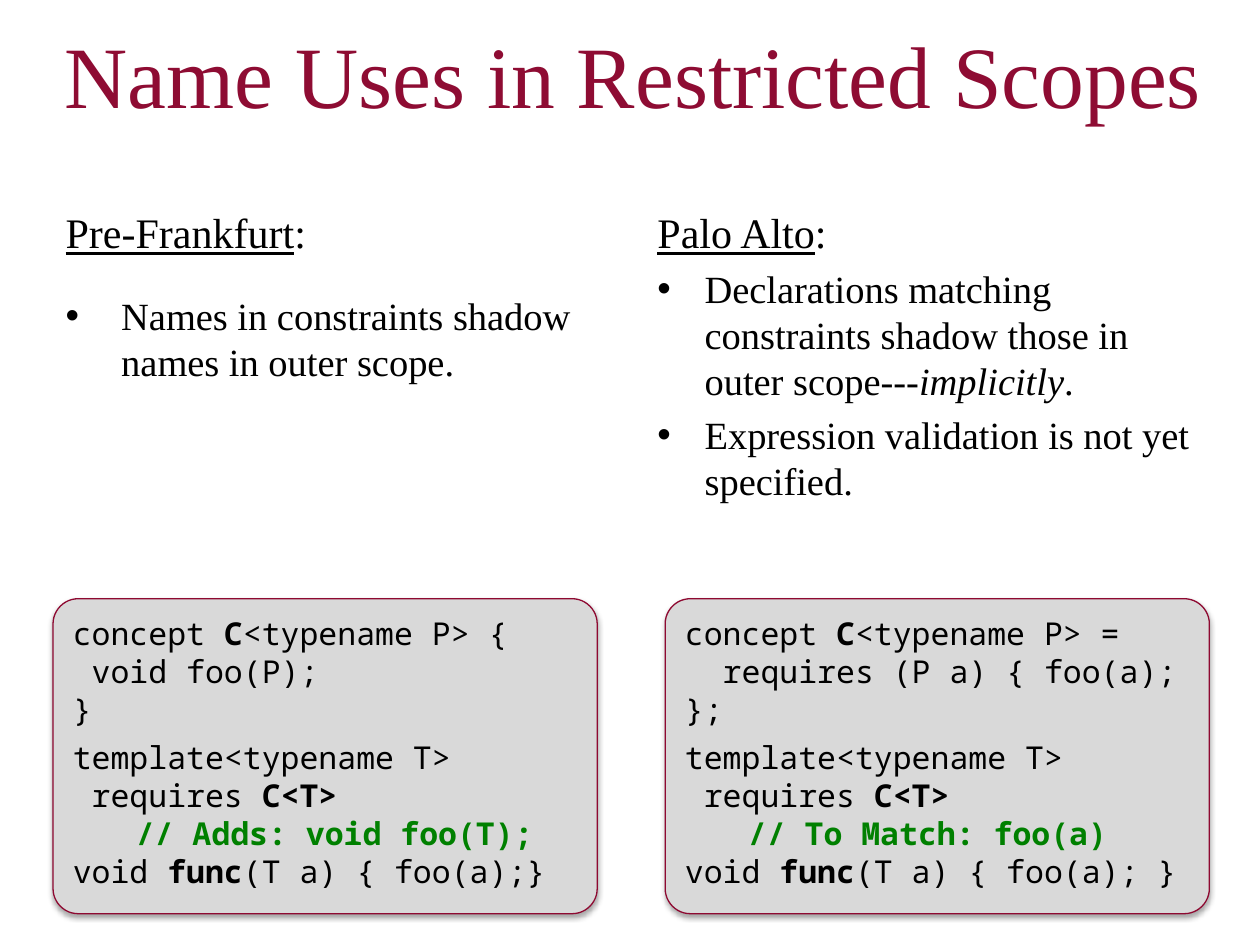
from dataclasses import dataclass

import lxml.etree
import pptx
import pptx.dml.color
import pptx.enum.shapes
import pptx.enum.text
import pptx.oxml
import pptx.oxml.ns
import pptx.util

Cm, Pt = pptx.util.Cm, pptx.util.Pt
RGB = pptx.dml.color.RGBColor.from_string
qn = pptx.oxml.ns.qn


@dataclass(frozen=True)
class Theme:
    title: str = "8E0C33"
    text: str = "000000"
    comment: str = "008000"
    panel: str = "D9D9D9"
    border: str = "8E0931"
    serif: str = "Times New Roman"
    mono: str = "Noto Sans Mono"
    title_size: int = 50
    heading_size: int = 24
    list_size: int = 22
    code_size: int = 18
    leading: float = 1.2


theme = Theme()


def add_run(p, text, size, color=theme.text, font=theme.serif,
            bold=False, italic=False, underline=False):
    r = p.add_run()
    r.text = text
    r.font.size, r.font.name = Pt(size), font
    r.font.color.rgb = RGB(color)
    r.font.bold, r.font.italic, r.font.underline = bold, italic, underline


def next_paragraph(tf, size, before=0, hang=0, bullet=None, tab=None):
    """Return the first paragraph while it is empty, otherwise a new one."""
    p = tf.paragraphs[0] if not tf.paragraphs[0].runs else tf.add_paragraph()
    p.alignment = pptx.enum.text.PP_ALIGN.LEFT
    p.line_spacing = Pt(size * theme.leading)
    p.space_before, p.space_after = Pt(before), Pt(0)
    pPr = p._p.get_or_add_pPr()
    pPr.set("marL", str(Cm(hang)))
    pPr.set("indent", str(-Cm(hang)))
    if bullet:
        lxml.etree.SubElement(pPr, qn("a:buChar"), char=bullet)
    else:
        lxml.etree.SubElement(pPr, qn("a:buNone"))
    if tab:
        tabs = lxml.etree.SubElement(pPr, qn("a:tabLst"))
        lxml.etree.SubElement(tabs, qn("a:tab"), pos=str(Cm(tab)), algn="l")
    return p


prs = pptx.Presentation()
prs.slide_width, prs.slide_height = Cm(25.4), Cm(19.05)
s = prs.slides.add_slide(prs.slide_layouts[3])
title, left_body, right_body = s.placeholders

frames = [
    (title, 0.66, 0.3, 24.23, 3.73),
    (left_body, 1.07, 4.04, 11.91, 14.38),
    (right_body, 13, 4.04, 11.4, 14.38),
]
for sp, left, top, width, height in frames:
    sp.left, sp.top, sp.width, sp.height = Cm(left), Cm(top), Cm(width), Cm(height)
    sp.text_frame.word_wrap = True
    sp.text_frame.auto_size = pptx.enum.text.MSO_AUTO_SIZE.NONE
    sp.text_frame.vertical_anchor = pptx.enum.text.MSO_ANCHOR.TOP

p = next_paragraph(title.text_frame, theme.title_size)
p.alignment = pptx.enum.text.PP_ALIGN.CENTER
add_run(p, "Name Uses in Restricted Scopes", theme.title_size, color=theme.title)

# Lists: heading, space before and hanging indent of the bullets, bullets as (text, italic) spans
lists = [
    (left_body, "Pre-Frankfurt", 20, 1.12, [
        [("Names in constraints shadow names in outer scope.", False)],
    ]),
    (right_body, "Palo Alto", 4.4, 0.95, [
        [("Declarations matching constraints shadow those in outer scope---", False),
         ("implicitly", True), (".", False)],
        [("Expression validation is not yet specified.", False)],
    ]),
]
for sp, heading, before, hang, bullets in lists:
    tf = sp.text_frame
    p = next_paragraph(tf, theme.heading_size)
    add_run(p, heading, theme.heading_size, underline=True)
    add_run(p, ":", theme.heading_size)
    for spans in bullets:
        p = next_paragraph(tf, theme.list_size, before=before, hang=hang, bullet="•")
        for text, italic in spans:
            add_run(p, text, theme.list_size, italic=italic)

# Code panels: left edge, end of the first line, body, closing, comment, end of the last line
panels = [
    (1.07, "{", " void foo(P);", "}", "// Adds: void foo(T);", "foo(a);}"),
    (13.41, "=", "  requires (P a) { foo(a);", "};", "// To Match: foo(a)", "foo(a); }"),
]
for left, opening, body, closing, comment, call in panels:
    sp = s.shapes.add_shape(pptx.enum.shapes.MSO_SHAPE.ROUNDED_RECTANGLE,
                            Cm(left), Cm(12.07), Cm(10.97), Cm(6.35))
    sp.adjustments[0] = 0.08
    sp.fill.solid()
    sp.fill.fore_color.rgb = RGB(theme.panel)
    sp.line.color.rgb = RGB(theme.border)
    sp.line.width = Pt(0.75)
    sp.shadow.inherit = False
    effects = sp._element.spPr.find(qn("a:effectLst"))
    shadow = lxml.etree.SubElement(effects, qn("a:outerShdw"), blurRad=str(Pt(3.1)),
                                   dist=str(Pt(1.8)), dir="5400000", rotWithShape="0")
    shade = lxml.etree.SubElement(shadow, qn("a:srgbClr"), val=theme.text)
    lxml.etree.SubElement(shade, qn("a:alpha"), val="35000")

    tf = sp.text_frame
    tf.word_wrap = True
    tf.vertical_anchor = pptx.enum.text.MSO_ANCHOR.TOP
    tf.margin_top = Cm(0.17)
    plain, strong = {}, {"bold": True}
    lines = [
        [("concept ", plain), ("C", strong), (f"<typename P> {opening}", plain)],
        [(body, plain)],
        [(closing, plain)],
        [("template<typename T>", plain)],
        [(" requires ", plain), ("C<T>", strong)],
        [("\t", plain), (comment, {"bold": True, "color": theme.comment})],
        [("void ", plain), ("func", strong), (f"(T a) {{ {call}", plain)],
    ]
    for spans in lines:
        starts_template = spans[0][0].startswith("template")
        p = next_paragraph(tf, theme.code_size, before=6 if starts_template else 0, tab=1.3)
        for text, style in spans:
            add_run(p, text, theme.code_size, font=theme.mono, **style)

prs.save("out.pptx")
